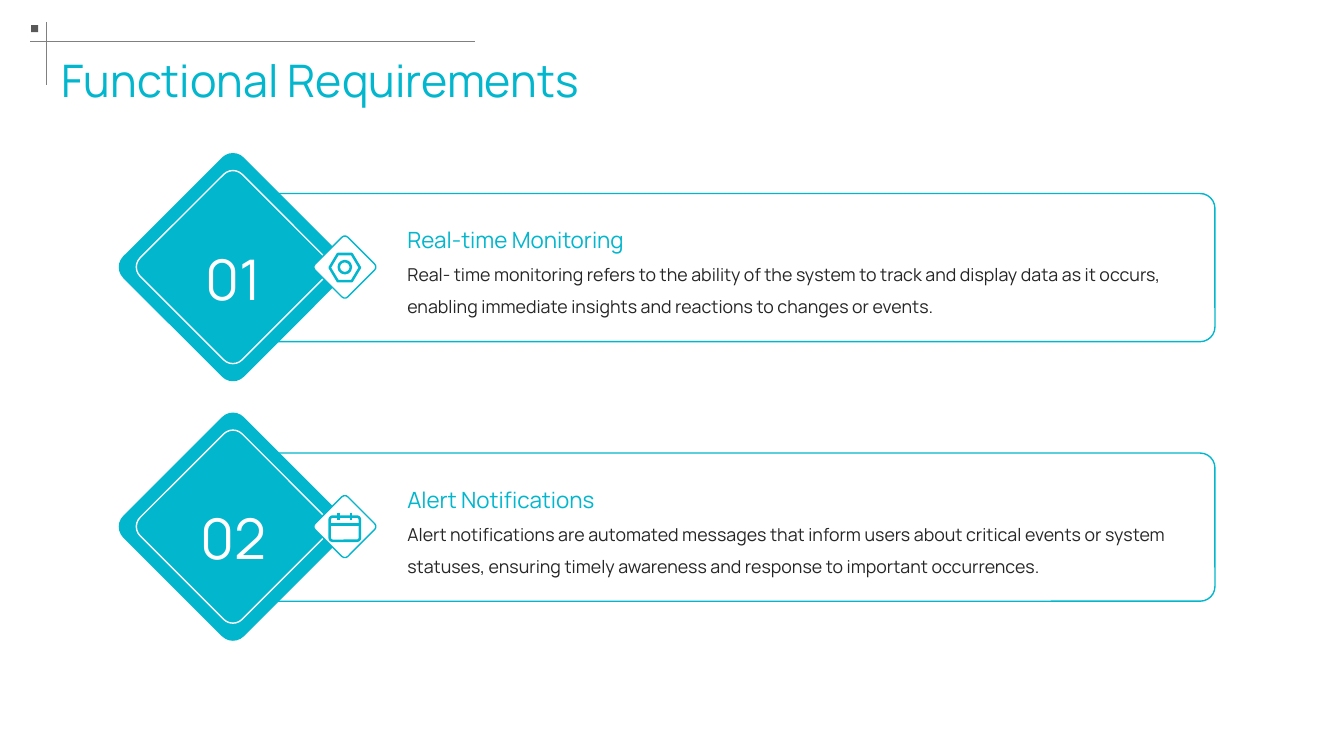
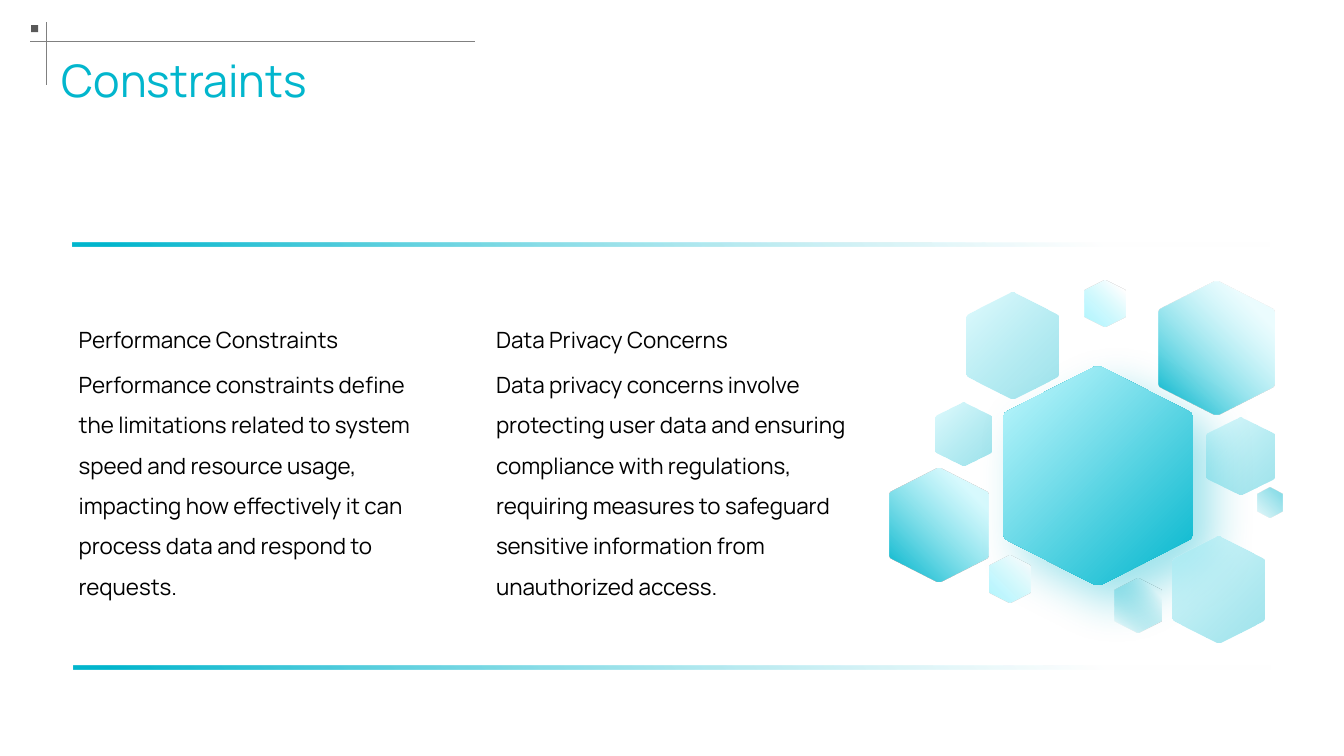
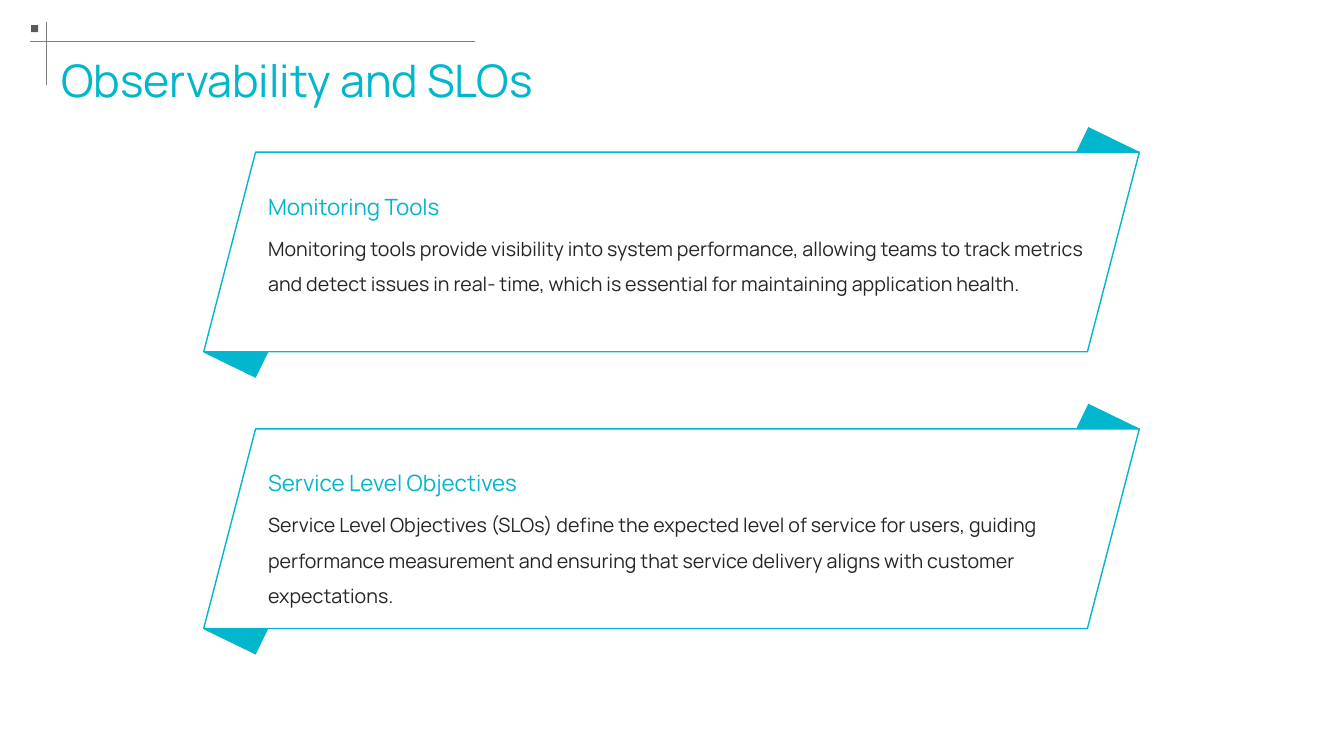
from pptx import Presentation, util as u
from pptx.dml.color import RGBColor
from pptx.enum import shapes, text
from pptx.oxml import parse_xml
from pptx.oxml.ns import nsdecls, qn

SCALE = 9144
FONT = "Manrope"
TEAL, WHITE, BLACK, DARK = "02B6CD", "FFFFFF", "000000", "262626"
GRAY, SLATE, PALE, BRIGHT = "808080", "595959", "C3F8FE", "4BE9FD"
KIND = shapes.MSO_SHAPE
ANCHOR = text.MSO_ANCHOR

NEEDS = [
    ("01", "Real-time Monitoring",
     "Real- time monitoring refers to the ability of the system to track and display data as it occurs, "
     "enabling immediate insights and reactions to changes or events."),
    ("02", "Alert Notifications",
     "Alert notifications are automated messages that inform users about critical events or system statuses, "
     "ensuring timely awareness and response to important occurrences."),
]
LIMITS = [
    ("Performance Constraints",
     "Performance constraints define the limitations related to system speed and resource usage, "
     "impacting how effectively it can process data and respond to requests."),
    ("Data Privacy Concerns",
     "Data privacy concerns involve protecting user data and ensuring compliance with regulations, "
     "requiring measures to safeguard sensitive information from unauthorized access."),
]
GOALS = [
    ("Monitoring Tools",
     "Monitoring tools provide visibility into system performance, allowing teams to track metrics "
     "and detect issues in real- time, which is essential for maintaining application health."),
    ("Service Level Objectives",
     "Service Level Objectives (SLOs) define the expected level of service for users, guiding performance "
     "measurement and ensuring that service delivery aligns with customer expectations."),
]

TOP_RIGHT = '<a:path path="circle"><a:fillToRect l="100000" b="100000"/></a:path>'
LOW_RIGHT = '<a:path path="circle"><a:fillToRect r="100000" b="100000"/></a:path>'
SLANT = '<a:lin ang="2700000" scaled="0"/>'
FADES = {
    "bar": ([(14, WHITE, 61), (97, TEAL, 100)], TOP_RIGHT),
    "bold": ([(19, PALE, 32), (97, TEAL, 100)], TOP_RIGHT),
    "firm": ([(19, PALE, 64), (97, TEAL, 100)], TOP_RIGHT),
    "soft": ([(0, PALE, 50), (100, TEAL, 38)], SLANT),
    "mist": ([(19, WHITE, 100), (95, TEAL, 0)], TOP_RIGHT),
    "light": ([(14, WHITE, 61), (97, BRIGHT, 42)], TOP_RIGHT),
    "dot": ([(18, TEAL, 45), (85, TEAL, 16)], TOP_RIGHT),
    "main": ([(0, PALE, 100), (100, TEAL, 100)], LOW_RIGHT),
}
CELLS = [
    (1149, 279, 115, 132, "bold"), (882, 465, 98, 112, "firm"),
    (928, 399, 55, 63, "soft"), (1197, 414, 67, 77, "soft"),
    (1106, 574, 46, 53, "mist"), (1076, 278, 40, 46, "light"),
    (1247, 484, 25, 29, "dot"), (995, 364, 188, 216, "main"),
    (959, 290, 91, 105, "soft"), (1163, 532, 91, 105, "soft"),
    (981, 551, 41, 47, "light"),
]
CORNER = [(0.48, 0), (0.5, 0), (0.52, 0), (0.97, 0.2), (0.99, 0.21), (1, 0.23)]
HALF = CORNER + [(x, 1 - y) for x, y in reversed(CORNER)]
HEX = HALF + [(1 - x, 1 - y) for x, y in HALF]


def px(n):
    return round(n * SCALE)


def rgb(code):
    return RGBColor.from_string(code)


def paint(shape, fill=None, line=None, width=1):
    shape.shadow.inherit = False
    if fill:
        shape.fill.solid()
        shape.fill.fore_color.rgb = rgb(fill)
    else:
        shape.fill.background()
    if line:
        shape.line.color.rgb = rgb(line)
        shape.line.width = u.Pt(width)
    else:
        shape.line.fill.background()


def add(slide, kind, box, fill=None, line=None, width=1, turn=0, adj=None):
    shape = slide.shapes.add_shape(kind, *map(px, box))
    paint(shape, fill, line, width)
    shape.rotation = turn
    if adj is not None:
        shape.adjustments[0] = adj
    return shape


def fade(shape, name):
    paint(shape)
    stops, route = FADES[name]
    marks = "".join(
        f'<a:gs pos="{pos * 1000}"><a:srgbClr val="{code}"><a:alpha val="{alpha * 1000}"/></a:srgbClr></a:gs>'
        for pos, code, alpha in stops)
    grad = parse_xml(f'<a:gradFill {nsdecls("a")} rotWithShape="1"><a:gsLst>{marks}</a:gsLst>{route}</a:gradFill>')
    props = shape.element.spPr
    props.replace(props.find(qn("a:noFill")), grad)


def glow(shape):
    effects = shape.element.spPr.find(qn("a:effectLst"))
    effects.append(parse_xml(
        f'<a:outerShdw {nsdecls("a")} blurRad="{u.Pt(33)}" dist="{u.Pt(19)}" dir="2700000" algn="tl" '
        f'rotWithShape="0"><a:srgbClr val="{TEAL}"><a:alpha val="39000"/></a:srgbClr></a:outerShdw>'))


def rule(slide, start, end, color=GRAY, width=0.5):
    line = slide.shapes.add_connector(shapes.MSO_CONNECTOR.STRAIGHT, *map(px, start + end))
    line.line.color.rgb = rgb(color)
    line.line.width = u.Pt(width)
    line.element.spPr.append(parse_xml(f'<a:effectLst {nsdecls("a")}/>'))


def write(slide, box, words, size, color, space=1.3, anchor=ANCHOR.BOTTOM, align=text.PP_ALIGN.LEFT):
    frame = slide.shapes.add_textbox(*map(px, box)).text_frame
    frame.word_wrap = True
    frame.margin_left = frame.margin_right = frame.margin_top = frame.margin_bottom = 0
    frame.vertical_anchor = anchor
    frame.text = words
    para = frame.paragraphs[0]
    para.alignment = align
    para.line_spacing = space
    for run in para.runs:
        run.font.name = FONT
        run.font.size = u.Pt(size)
        run.font.color.rgb = rgb(color)


def start(deck, title):
    slide = deck.slides.add_slide(deck.slide_layouts[6])
    rule(slide, (30, 41), (471, 41))
    rule(slide, (46, 84), (46, 22))
    add(slide, KIND.RECTANGLE, (31, 25, 7, 7), SLATE)
    write(slide, (61, 50, 1204, 47), title, 32, TEAL, 1.2, ANCHOR.MIDDLE)
    return slide


def draw_nut(slide, mid_x, mid_y):
    add(slide, KIND.HEXAGON, (mid_x - 15, mid_y - 13, 30, 27), line=TEAL, width=1.8, adj=0.3)
    add(slide, KIND.OVAL, (mid_x - 6, mid_y - 6, 12, 12), line=TEAL, width=1.8)


def draw_date(slide, mid_x, mid_y):
    add(slide, KIND.ROUNDED_RECTANGLE, (mid_x - 15, mid_y - 10, 30, 24), line=TEAL, width=1.8, adj=0.12)
    rule(slide, (mid_x - 15, mid_y - 2), (mid_x + 15, mid_y - 2), TEAL, 1.8)
    for x in (mid_x - 6, mid_x + 6):
        rule(slide, (x, mid_y - 14), (x, mid_y - 7), TEAL, 1.8)


def needs(deck):
    slide = start(deck, "Functional Requirements")
    gems = [(231, 169, TEAL, None), (231, 143, TEAL, WHITE), (342, 46, WHITE, TEAL)]
    for i, (label, head, body) in enumerate(NEEDS):
        mid = 265 + 257.5 * i
        add(slide, KIND.ROUNDED_RECTANGLE, (247, mid - 73, 958, 147), WHITE, TEAL, adj=0.1)
        for x, side, fill, line in gems:
            add(slide, KIND.ROUNDED_RECTANGLE, (x - side / 2, mid - side / 2, side, side), fill, line,
                turn=45, adj=0.09)
        (draw_nut, draw_date)[i](slide, 342, mid)
        write(slide, (185, mid - 51, 93, 103), label, 40, WHITE, 1.3, ANCHOR.MIDDLE, text.PP_ALIGN.CENTER)
        write(slide, (404, mid - 61, 768, 47), head, 16, TEAL)
        write(slide, (404, mid - 14, 768, 79), body, 12.7, DARK, 1.5, ANCHOR.TOP)


def limits(deck):
    slide = start(deck, "Constraints")
    for x, y in ((72, 241), (73, 660)):
        fade(add(slide, KIND.RECTANGLE, (x, y, 1187, 4)), "bar")
    for i, (head, body) in enumerate(LIMITS):
        x = 78 + 414 * i
        write(slide, (x, 261, 354, 89), head, 16, BLACK)
        write(slide, (x, 355, 354, 282), body, 16, BLACK, 1.5, ANCHOR.TOP)
    for x, y, w, h, name in CELLS:
        spots = [(px(x + w * a), px(y + h * b)) for a, b in HEX]
        pen = slide.shapes.build_freeform(*spots[0], scale=1.0)
        pen.add_line_segments(spots[1:], close=True)
        cell = pen.convert_to_shape()
        fade(cell, name)
        if name == "main":
            glow(cell)


def goals(deck):
    slide = start(deck, "Observability and SLOs")
    for i, (head, body) in enumerate(GOALS):
        top = 151 + 274.5 * i
        for x, y in ((1070, top - 14), (206, top + 183)):
            add(slide, KIND.RECTANGLE, (x, y, 57, 30), TEAL, turn=25.9)
        add(slide, KIND.PARALLELOGRAM, (202, top, 928, 198), WHITE, TEAL, adj=0.26)
        write(slide, (266, top + 27, 814, 40), head, 16, TEAL)
        write(slide, (266, top + 72, 814, 116), body, 14, DARK, 1.5, ANCHOR.TOP)


def main():
    deck = Presentation()
    deck.slide_width, deck.slide_height = px(1333), px(750)
    needs(deck)
    limits(deck)
    goals(deck)
    deck.save("out.pptx")


if __name__ == "__main__":
    main()
